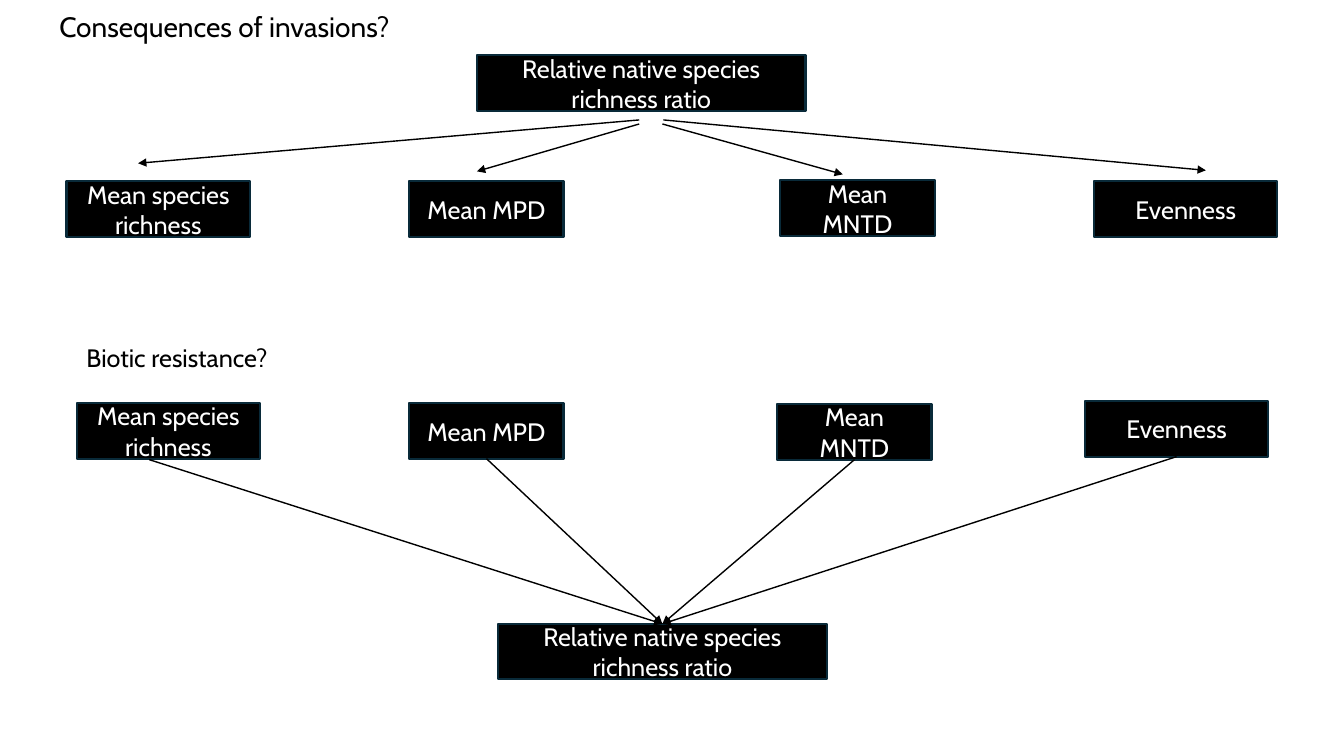
from dataclasses import dataclass
from lxml import etree
from pptx import Presentation
from pptx import util as u
from pptx.dml.color import RGBColor
from pptx.enum import shapes, text
from pptx.oxml.ns import qn


@dataclass(frozen=True)
class Theme:
    font: str = "Cabin"
    ink: RGBColor = RGBColor(0, 0, 0)
    paper: RGBColor = RGBColor(255, 255, 255)
    border: RGBColor = RGBColor(0x09, 0x2A, 0x39)
    body: int = 18
    title: int = 20


theme = Theme()


def write(shape, wording, size, color, alignment):
    frame = shape.text_frame
    frame.text = wording
    frame.word_wrap = True
    paragraph = frame.paragraphs[0]
    paragraph.alignment = alignment
    font = paragraph.runs[0].font
    font.name = theme.font
    font.size = u.Pt(size)
    font.color.rgb = color


def add_arrow(slide, start, end):
    points = [u.Inches(value) for value in (*start, *end)]
    arrow = slide.shapes.add_connector(shapes.MSO_CONNECTOR.STRAIGHT, *points)
    arrow.line.color.rgb = theme.ink
    arrow.line.width = u.Pt(1)
    etree.SubElement(arrow.line._get_or_add_ln(), qn("a:tailEnd"), type="triangle")
    etree.SubElement(arrow._element.spPr, qn("a:effectLst"))
    return arrow


presentation = Presentation()
presentation.slide_width = u.Inches(13.33)
presentation.slide_height = u.Inches(7.5)
slide = presentation.slides.add_slide(presentation.slide_layouts[6])

ratio = "Relative native species richness ratio"
measures = ["Mean species richness", "Mean MPD", "Mean MNTD", "Evenness"]
widths = [1.82, 1.53, 1.53, 1.82]
box_height = 0.55
consequence_places = [(0.66, 1.8), (4.06, 1.8), (7.74, 1.79), (10.85, 1.8)]
resistance_places = [(0.76, 4), (4.06, 4), (7.71, 4.01), (10.76, 3.98)]

box_rows = [(ratio, 3.26, (4.73, 0.55)), *zip(measures, widths, consequence_places),
            (ratio, 3.26, (4.94, 6.19)), *zip(measures, widths, resistance_places)]
boxes = []
for wording, width, (left, top) in box_rows:
    box = slide.shapes.add_shape(
        shapes.MSO_SHAPE.RECTANGLE,
        u.Inches(left), u.Inches(top), u.Inches(width), u.Inches(box_height))
    box.shadow.inherit = False
    box.fill.solid()
    box.fill.fore_color.rgb = theme.ink
    box.line.color.rgb = theme.border
    box.line.width = u.Pt(1.5)
    box.text_frame.vertical_anchor = text.MSO_ANCHOR.MIDDLE
    write(box, wording, theme.body, theme.paper, text.PP_ALIGN.CENTER)
    boxes.append(box)

for start, end in [((6.34, 1.19), (1.37, 1.62)), ((6.34, 1.23), (4.73, 1.7)),
                   ((6.58, 1.19), (11.96, 1.69)), ((6.57, 1.23), (8.36, 1.73))]:
    add_arrow(slide, start, end)

resistance_ratio, richness, *other_measures = boxes[5:]
meeting_point = (6.57, 6.19)
richness_arrow = add_arrow(slide, (1.48, 4.56), meeting_point)
richness_arrow.end_connect(resistance_ratio, 0)
for measure in other_measures:
    arrow = add_arrow(slide, (0, 0), meeting_point)
    arrow.begin_connect(measure, 2)
    arrow.end_connect(resistance_ratio, 0)

for wording, size, left, top, width, height in [
        ("Biotic resistance?", theme.body, 0.76, 3.35, 2.84, 0.4),
        ("Consequences of invasions?", theme.title, 0.49, 0.05, 3.77, 0.44)]:
    heading = slide.shapes.add_textbox(
        u.Inches(left), u.Inches(top), u.Inches(width), u.Inches(height))
    write(heading, wording, size, theme.ink, text.PP_ALIGN.LEFT)
    heading.text_frame.auto_size = text.MSO_AUTO_SIZE.SHAPE_TO_FIT_TEXT

presentation.save("out.pptx")
